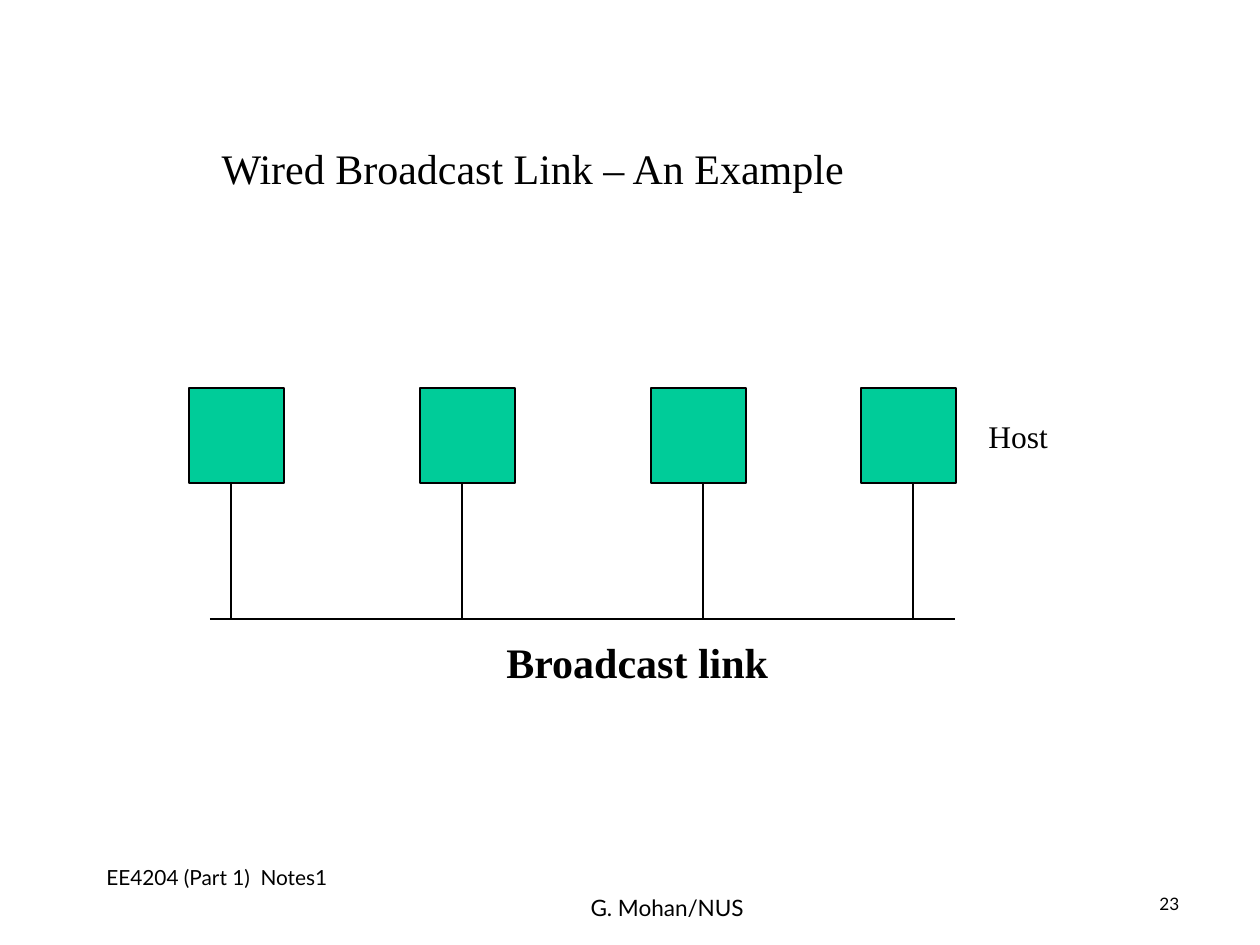
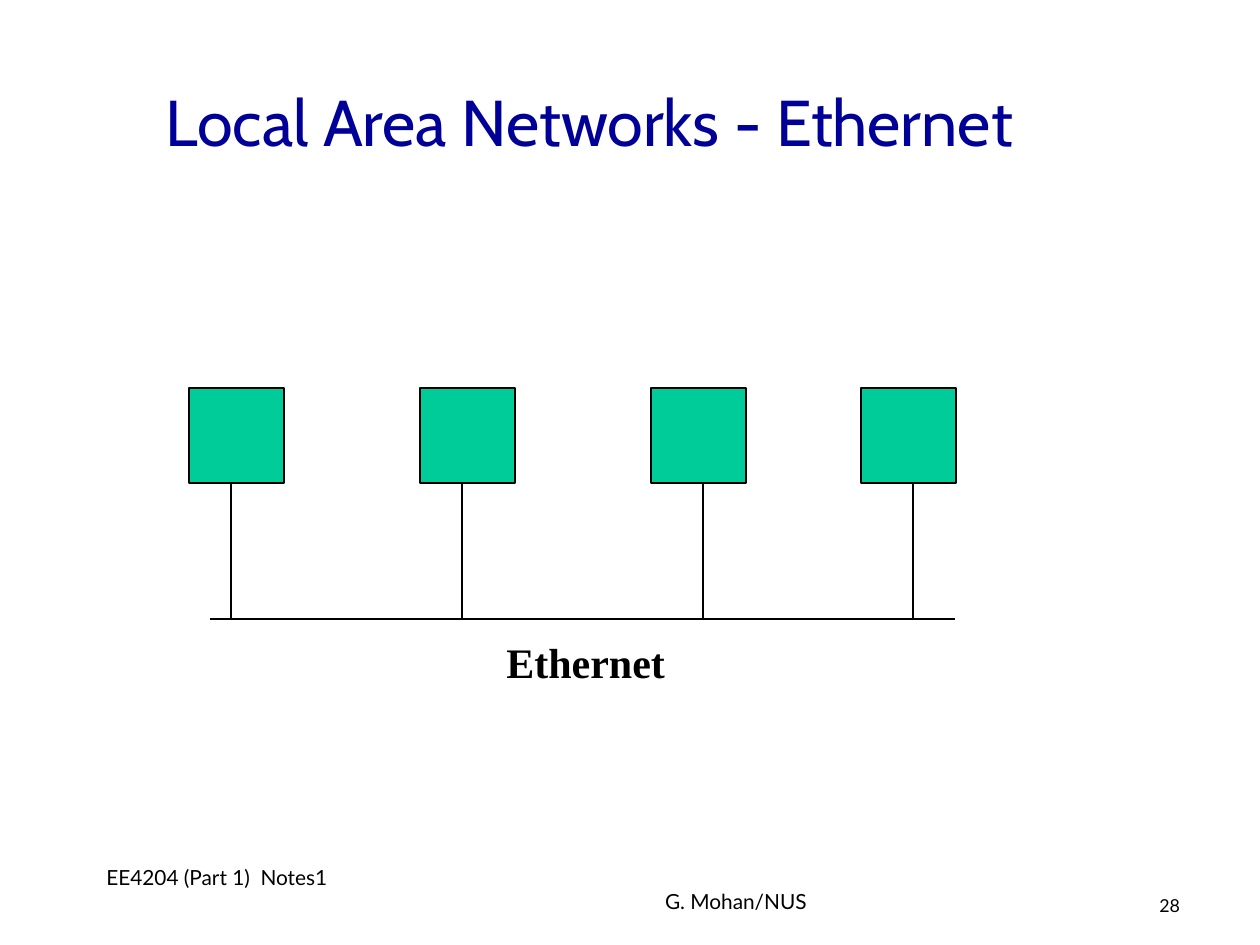
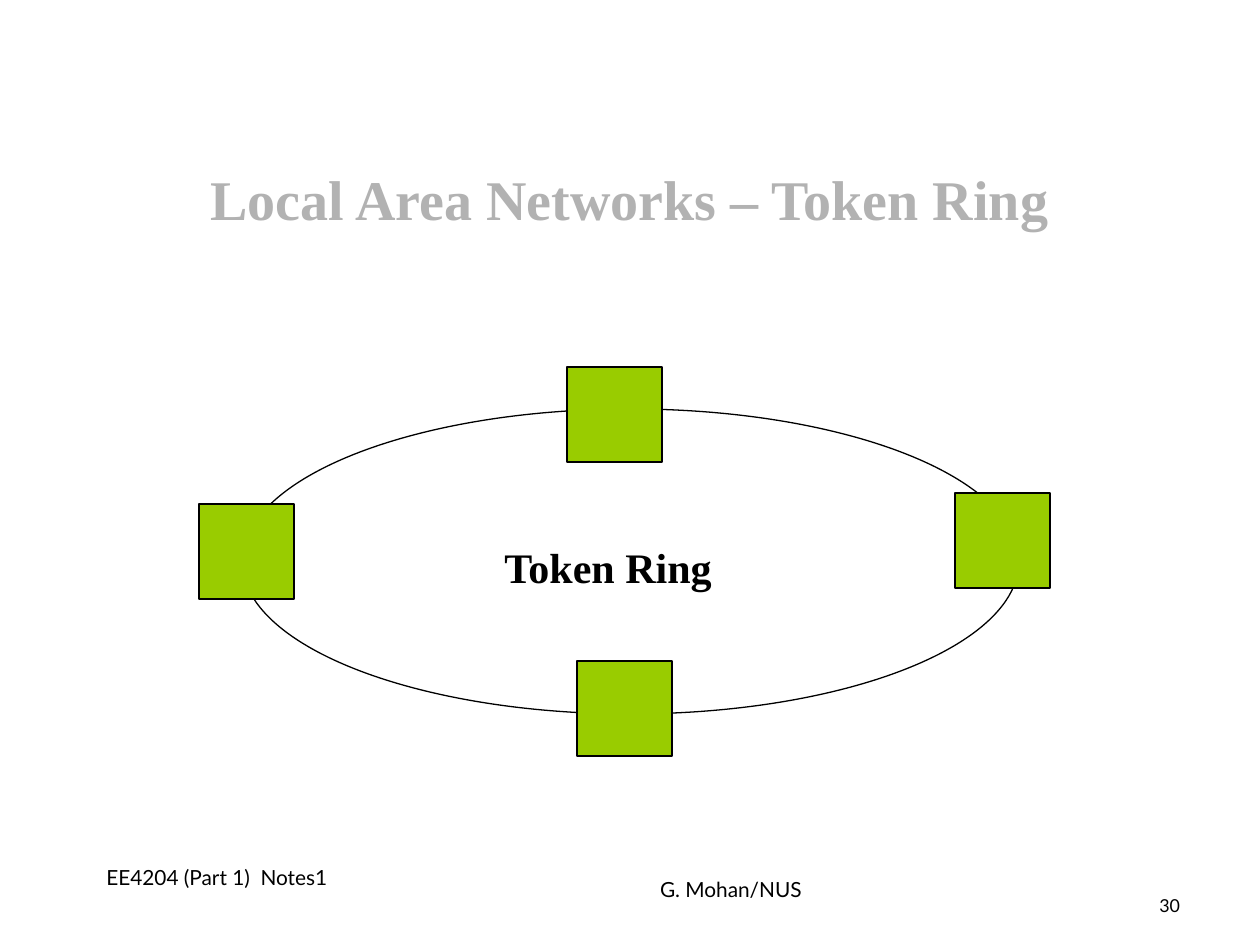
from dataclasses import dataclass

import lxml.etree
import pptx
import pptx.dml.color
import pptx.enum.shapes
import pptx.enum.text
import pptx.oxml.ns
import pptx.util
from pptx.shapes.autoshape import Shape
from pptx.slide import Slide

# Shared scale, colours and fonts
EMU_PER_PX = 914400 / 126
SLIDE_WIDTH, SLIDE_HEIGHT = 1260, 945
BLACK, NAVY, SILVER = "000000", "000099", "B2B2B2"
TEAL, LIME = "00CC99", "99CC00"
SERIF, SANS, DISPLAY = "Times New Roman", "Lato", "Cabin"
OUTLINE_PT = 0.75
HOST_SIZE = 95
COURSE = "EE4204 (Part 1)  Notes1"
AUTHOR = "G. Mohan/NUS"
LEFT = pptx.enum.text.PP_ALIGN.LEFT
RIGHT = pptx.enum.text.PP_ALIGN.RIGHT


@dataclass(frozen=True)
class Box:
    left: int
    top: int
    width: int
    height: int


@dataclass(frozen=True)
class Style:
    size: float
    font: str = SERIF
    color: str = BLACK
    bold: bool = False
    spacing: float = 1.0
    align: pptx.enum.text.PP_ALIGN = LEFT


@dataclass(frozen=True)
class Label:
    text: str
    box: Box
    style: Style


@dataclass(frozen=True)
class Footer:
    number: str
    number_style: Style
    author_box: Box
    author_size: float = 11.9


CAPTION = Style(24, bold=True)
PAGE_NUMBER = Style(10.2, SANS, spacing=0.9)
COURSE_LABEL = Label(COURSE, Box(94, 861, 262, 63), Style(11.9, SANS, spacing=0.9))
NUMBER_BOX = Box(1147, 891, 93, 38)

# Bus geometry
HOST_TOP = 388
HOST_LEFTS = (189, 420, 651, 861)
TAP_XS = (231, 462, 703, 913)
TRUNK_LEFT, TRUNK_RIGHT, TRUNK_Y = 210, 955, 619

# Ring geometry
RING = Box(242, 409, 777, 305)
STATIONS = ((199, 504), (577, 661), (955, 493), (567, 367))


def px(length: int) -> int:
    return round(length * EMU_PER_PX)


def rgb(color: str) -> pptx.dml.color.RGBColor:
    return pptx.dml.color.RGBColor.from_string(color)


def write(shape: Shape, label: Label) -> None:
    """Fill a text shape with one formatted paragraph."""
    frame, style = shape.text_frame, label.style
    frame.text = label.text
    frame.word_wrap = True
    frame.auto_size = pptx.enum.text.MSO_AUTO_SIZE.NONE
    frame.vertical_anchor = pptx.enum.text.MSO_ANCHOR.TOP
    paragraph = frame.paragraphs[0]
    paragraph.alignment = style.align
    paragraph.line_spacing = style.spacing
    font = paragraph.runs[0].font
    font.name, font.size, font.bold = style.font, pptx.util.Pt(style.size), style.bold
    font.color.rgb = rgb(style.color)


def add_label(slide: Slide, label: Label) -> None:
    box = label.box
    write(slide.shapes.add_textbox(px(box.left), px(box.top), px(box.width), px(box.height)), label)


def add_outlined(slide: Slide, kind: pptx.enum.shapes.MSO_SHAPE, box: Box, fill: str = "") -> None:
    """Draw a preset shape with a thin black outline; no fill colour leaves it open."""
    shape = slide.shapes.add_shape(kind, px(box.left), px(box.top), px(box.width), px(box.height))
    shape.shadow.inherit = False
    if fill:
        shape.fill.solid()
        shape.fill.fore_color.rgb = rgb(fill)
    else:
        shape.fill.background()
    shape.line.color.rgb = rgb(BLACK)
    shape.line.width = pptx.util.Pt(OUTLINE_PT)


def add_host(slide: Slide, left: int, top: int, fill: str) -> None:
    square = Box(left, top, HOST_SIZE, HOST_SIZE)
    add_outlined(slide, pptx.enum.shapes.MSO_SHAPE.RECTANGLE, square, fill)


def add_wire(slide: Slide, x1: int, y1: int, x2: int, y2: int) -> None:
    wire = slide.shapes.add_connector(
        pptx.enum.shapes.MSO_CONNECTOR.STRAIGHT, px(x1), px(y1), px(x2), px(y2))
    wire.line.color.rgb = rgb(BLACK)
    wire.line.width = pptx.util.Pt(OUTLINE_PT)
    lxml.etree.SubElement(wire._element.spPr, pptx.oxml.ns.qn("a:effectLst"))


def add_bus(slide: Slide) -> None:
    """Four hosts tapped into one shared trunk."""
    for left in HOST_LEFTS:
        add_host(slide, left, HOST_TOP, TEAL)
    add_wire(slide, TRUNK_LEFT, TRUNK_Y, TRUNK_RIGHT, TRUNK_Y)
    for x in TAP_XS:
        add_wire(slide, x, TRUNK_Y, x, HOST_TOP + HOST_SIZE)


def add_ring(slide: Slide) -> None:
    """Four stations sitting on an open ellipse."""
    add_outlined(slide, pptx.enum.shapes.MSO_SHAPE.OVAL, RING)
    for left, top in STATIONS:
        add_host(slide, left, top, LIME)


def start_slide(deck: pptx.presentation.Presentation, title: Label, footer: Footer) -> Slide:
    """Add a title-only slide with its heading and footer texts."""
    slide = deck.slides.add_slide(deck.slide_layouts[5])
    heading, box = slide.shapes.title, title.box
    heading.left, heading.top = px(box.left), px(box.top)
    heading.width, heading.height = px(box.width), px(box.height)
    write(heading, title)
    author_style = Style(footer.author_size, SANS, spacing=0.9, align=RIGHT)
    add_label(slide, COURSE_LABEL)
    add_label(slide, Label(AUTHOR, footer.author_box, author_style))
    add_label(slide, Label(footer.number, NUMBER_BOX, footer.number_style))
    return slide


def main() -> None:
    deck = pptx.Presentation()
    deck.slide_width, deck.slide_height = px(SLIDE_WIDTH), px(SLIDE_HEIGHT)

    # Broadcast link
    broadcast = start_slide(
        deck,
        Label("Wired Broadcast Link – An Example", Box(209, 136, 914, 63), Style(24)),
        Footer("23", Style(9.8, SANS, spacing=0.8), Box(544, 891, 212, 40), 12.9))
    add_bus(broadcast)
    add_label(broadcast, Label("Broadcast link", Box(494, 630, 305, 63), CAPTION))
    add_label(broadcast, Label("Host", Box(976, 411, 126, 50), Style(18)))

    # Ethernet
    ethernet = start_slide(
        deck,
        Label("Local Area Networks - Ethernet", Box(153, 84, 1044, 158),
              Style(37, DISPLAY, NAVY, spacing=0.9)),
        Footer("28", PAGE_NUMBER, Box(420, 885, 399, 39)))
    add_bus(ethernet)
    add_label(ethernet, Label("Ethernet", Box(494, 630, 210, 63), CAPTION))

    # Token ring
    token_ring = start_slide(
        deck,
        Label("Local Area Networks – Token Ring", Box(198, 158, 914, 80),
              Style(32, color=SILVER, bold=True)),
        Footer("30", PAGE_NUMBER, Box(415, 873, 399, 40)))
    add_ring(token_ring)
    add_label(token_ring, Label("Token Ring", Box(492, 535, 380, 63), CAPTION))

    deck.save("out.pptx")


if __name__ == "__main__":
    main()
